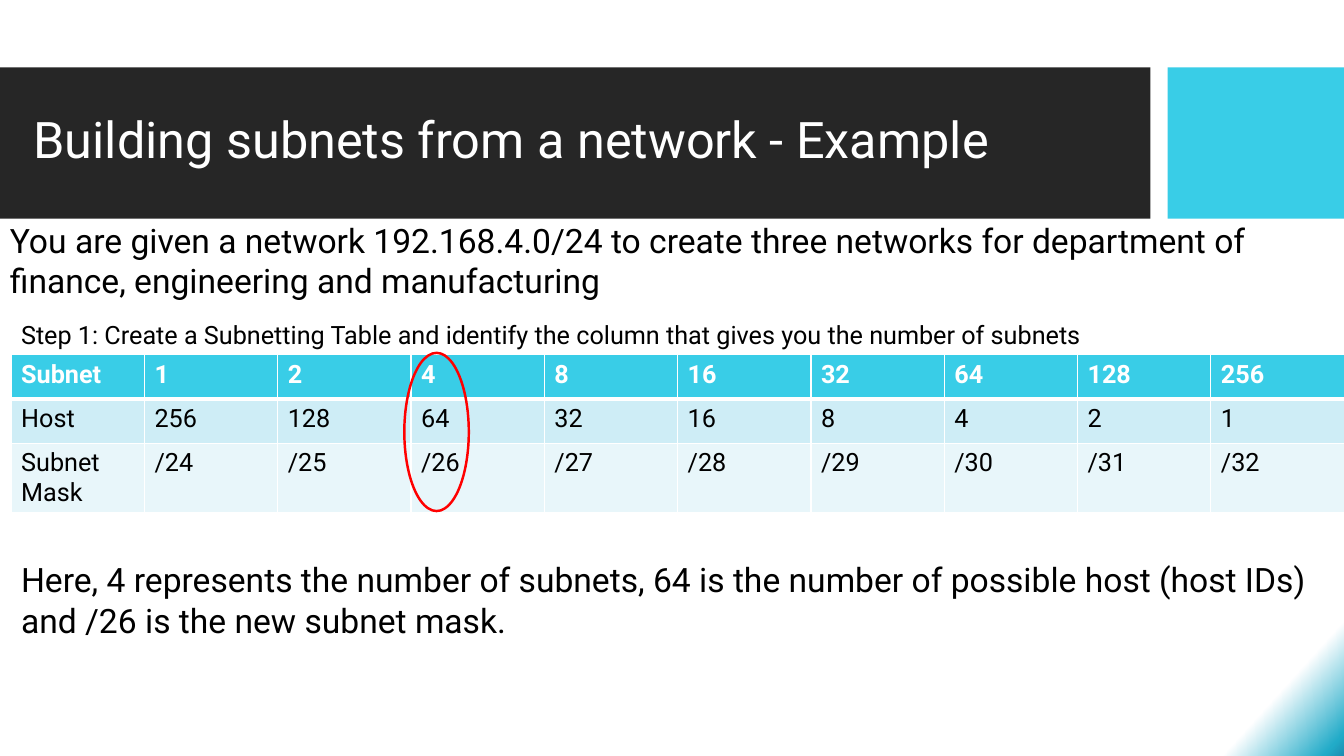
from dataclasses import dataclass

from lxml.etree import SubElement
from pptx import Presentation
from pptx.dml.color import RGBColor
from pptx.enum.shapes import MSO_SHAPE
from pptx.enum.text import MSO_ANCHOR, PP_ALIGN
from pptx.oxml.ns import qn
from pptx.util import Inches, Pt

WIDTH, HEIGHT = Inches(13.33), Inches(7.5)


@dataclass(frozen=True)
class Theme:
    """Colours, type sizes and line widths of the slide."""
    font: str = "Roboto"
    white: str = "FFFFFF"
    black: str = "000000"
    dark: str = "262626"
    accent: str = "39CDE7"
    mark: str = "FF0000"
    rows: tuple = ("39CDE7", "CEEDF6", "E8F6FA")
    background: tuple = ((94, "FFFFFF"), (99, "21ABC8"), (100, "1C8DB1"), (100, "0C2263"))
    title: int = 36
    body: int = 24
    small: int = 18
    rule: int = 1
    header_rule: int = 3


THEME = Theme()


def place(x, y, w, h):
    """Turn percentages of the slide's size into left, top, width, height."""
    return (int(WIDTH * x / 100), int(HEIGHT * y / 100),
            int(WIDTH * w / 100), int(HEIGHT * h / 100))


def style_text(tf, size, color, bold=False):
    """Format every run of a text frame."""
    for p in tf.paragraphs:
        for r in p.runs:
            r.font.name = THEME.font
            r.font.size = Pt(size)
            r.font.bold = bold
            r.font.color.rgb = RGBColor.from_string(color)


def set_background(s):
    """Fill the background with the corner gradient."""
    fill = s.background.fill
    fill.gradient()
    fill.gradient_angle = 318
    stops = next(s.element.iter(qn("a:gsLst")))
    for stop in list(stops):
        stops.remove(stop)
    for share, color in THEME.background:
        stop = SubElement(stops, qn("a:gs"), pos=str(share * 1000))
        SubElement(stop, qn("a:srgbClr"), val=color)


def add_bar(s, box, color):
    """Add a plain rectangle behind the placeholders."""
    sp = s.shapes.add_shape(MSO_SHAPE.RECTANGLE, *place(*box))
    sp.shadow.inherit = False
    sp.fill.solid()
    sp.fill.fore_color.rgb = RGBColor.from_string(color)
    sp.line.fill.background()
    s.shapes.element.insert(2, sp.element)


def set_title(s, box, text):
    """Move, fill and format the title placeholder."""
    sp = s.shapes.title
    sp.left, sp.top, sp.width, sp.height = place(*box)
    tf = sp.text_frame
    tf.text = text
    tf.word_wrap = True
    tf.vertical_anchor = MSO_ANCHOR.MIDDLE
    tf.paragraphs[0].alignment = PP_ALIGN.LEFT
    tf.paragraphs[0].line_spacing = 0.9
    style_text(tf, THEME.title, THEME.white)


def add_text(s, box, text, size):
    """Add a wrapping text box."""
    tf = s.shapes.add_textbox(*place(*box)).text_frame
    tf.word_wrap = True
    tf.text = text
    style_text(tf, size, THEME.black)


def set_borders(cell, top, bottom):
    """Draw white borders around a cell."""
    tc_pr = cell._tc.get_or_add_tcPr()
    widths = {"a:lnL": THEME.rule, "a:lnR": THEME.rule, "a:lnT": top, "a:lnB": bottom}
    for tag, width in widths.items():
        ln = SubElement(tc_pr, qn(tag), w=str(Pt(width)))
        SubElement(SubElement(ln, qn("a:solidFill")), qn("a:srgbClr"), val=THEME.white)


def add_table(s, box, rows, heights):
    """Add a table of equal columns with one fill per row."""
    columns = len(rows[0])
    table = s.shapes.add_table(len(rows), columns, *place(*box)).table
    for column in table.columns:
        column.width = place(0, 0, box[2] / columns, 0)[2]
    for i, values in enumerate(rows):
        table.rows[i].height = place(0, 0, 0, heights[i])[3]
        header = i == 0
        for j, value in enumerate(values):
            cell = table.cell(i, j)
            cell.text = value
            style_text(cell.text_frame, THEME.small,
                       THEME.white if header else THEME.black, header)
            set_borders(cell, THEME.header_rule if i == 1 else THEME.rule,
                        THEME.header_rule if header else THEME.rule)
            cell.fill.solid()
            cell.fill.fore_color.rgb = RGBColor.from_string(THEME.rows[i])


def add_ring(s, box):
    """Add an unfilled ellipse that marks a column."""
    sp = s.shapes.add_shape(MSO_SHAPE.OVAL, *place(*box))
    sp.shadow.inherit = False
    sp.fill.background()
    sp.line.color.rgb = RGBColor.from_string(THEME.mark)
    sp.line.width = Pt(1.75)


def main():
    """Build the subnetting slide."""
    prs = Presentation()
    prs.slide_width, prs.slide_height = WIDTH, HEIGHT
    s = prs.slides.add_slide(prs.slide_layouts[5])
    set_background(s)
    add_bar(s, (0, 8.93, 85.6, 20), THEME.dark)
    add_bar(s, (86.87, 8.93, 13.13, 20), THEME.accent)
    set_title(s, (1.73, 10.93, 82.75, 15.73), "Building subnets from a network - Example")

    powers = range(9)
    rows = [
        ["Subnet"] + [str(2 ** n) for n in powers],
        ["Host"] + [str(2 ** (8 - n)) for n in powers],
        ["Subnet Mask"] + [f"/{24 + n}" for n in powers],
    ]
    add_table(s, (0.83, 46.93, 99.2, 20.93), rows, (5.87, 5.87, 9.19))
    add_text(s, (0, 28.4, 99.25, 18.67),
             "You are given a network 192.168.4.0/24 to create three networks "
             "for department of finance, engineering and manufacturing", THEME.body)
    add_text(s, (0.83, 41.6, 95.27, 5.07),
             "Step 1: Create a Subnetting Table and identify the column "
             "that gives you the number of subnets", THEME.small)
    add_ring(s, (30.08, 46.67, 4.8, 20.93))
    add_text(s, (0.83, 73.33, 99.25, 18.67),
             "Here, 4 represents the number of subnets, 64 is the number of possible "
             "host (host IDs) and /26 is the new subnet mask.", THEME.body)
    prs.save("out.pptx")


if __name__ == "__main__":
    main()
